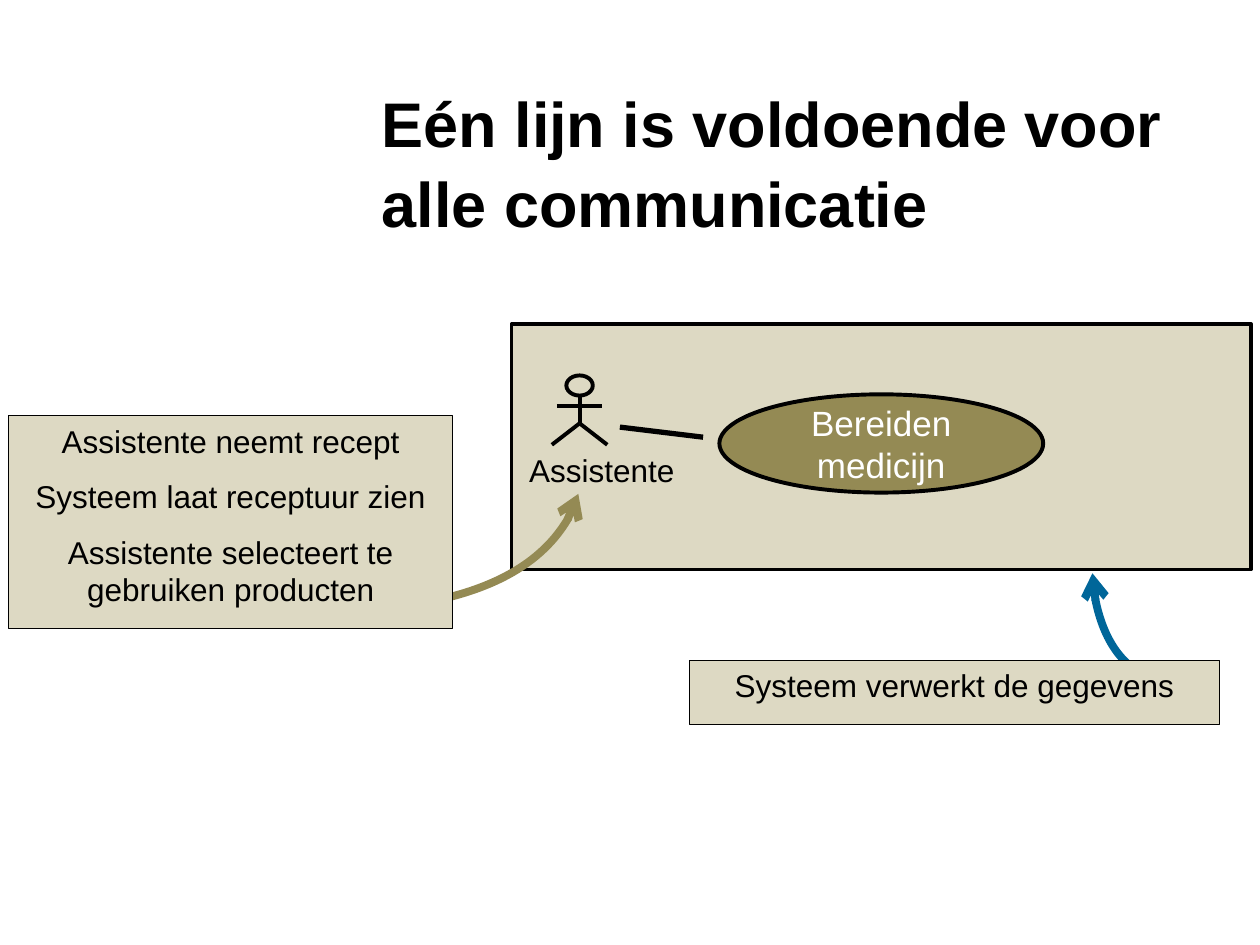
import pptx
import pptx.dml.color
import pptx.enum.shapes
import pptx.enum.text
import pptx.oxml.ns
import pptx.oxml.xmlchemy
import pptx.util

SHAPE = pptx.enum.shapes.MSO_SHAPE
ANCHOR = pptx.enum.text.MSO_ANCHOR
ALIGN = pptx.enum.text.PP_ALIGN
FIT = pptx.enum.text.MSO_AUTO_SIZE
qn = pptx.oxml.ns.qn
element = pptx.oxml.xmlchemy.OxmlElement

BLACK, WHITE = "000000", "FFFFFF"
SAND, OLIVE, BLUE = "DDD9C3", "948A54", "006699"
COLUMNS, ROWS = 100, 75


def color(value):
    return pptx.dml.color.RGBColor.from_string(value)


def assign(target, values):
    for name, value in values.items():
        setattr(target, name, value)


class Sketch:
    """Holds the style and the current slide; lengths are grid columns and rows."""

    font = "Arial"

    def __init__(self, deck):
        self.column = deck.slide_width / COLUMNS
        self.row = deck.slide_height / ROWS
        self.page = deck.slides.add_slide(deck.slide_layouts[5])

    def grid(self, *lengths):
        units = (self.column, self.row)
        return [round(length * units[i % 2]) for i, length in enumerate(lengths)]

    def outline(self, item, ink, width):
        item.line.color.rgb = color(ink)
        item.line.width = pptx.util.Pt(width)

    def fill_text(self, item, paragraphs, size, ink=BLACK, bold=False, align=ALIGN.CENTER,
                  margins=(0.1, 0.05, 0.1, 0.05), anchor=ANCHOR.TOP, fit=FIT.NONE,
                  wrap=True, gap=0, spacing=1.0):
        frame = item.text_frame
        sides = ("margin_left", "margin_top", "margin_right", "margin_bottom")
        assign(frame, dict(zip(sides, map(pptx.util.Inches, margins))))
        assign(frame, {"vertical_anchor": anchor, "auto_size": fit, "word_wrap": wrap})
        for index, words in enumerate(paragraphs):
            para = frame.add_paragraph() if index else frame.paragraphs[0]
            assign(para, {"alignment": align, "line_spacing": spacing,
                          "space_before": pptx.util.Pt(gap if index else 0)})
            span = para.add_run()
            span.text = words
            assign(span.font, {"name": self.font, "size": pptx.util.Pt(size), "bold": bold})
            span.font.color.rgb = color(ink)

    def title(self, words, *place):
        holder = self.page.shapes.title
        assign(holder, dict(zip(("left", "top", "width", "height"), self.grid(*place))))
        self.fill_text(holder, [words], 36, bold=True, align=ALIGN.LEFT,
                       margins=(0, 0, 0, 0), anchor=ANCHOR.BOTTOM, spacing=1.06)

    def shape(self, kind, place, fill=None, width=2.25, parent=None):
        item = (parent or self.page).shapes.add_shape(kind, *self.grid(*place))
        item.shadow.inherit = False
        if fill:
            item.fill.solid()
            item.fill.fore_color.rgb = color(fill)
        else:
            item.fill.background()
        self.outline(item, BLACK, width)
        return item

    def line(self, ends, width=2.25, parent=None):
        item = (parent or self.page).shapes.add_connector(
            pptx.enum.shapes.MSO_CONNECTOR.STRAIGHT, *self.grid(*ends))
        self.outline(item, BLACK, width)
        item._element.spPr.append(element("a:effectLst"))

    def label(self, words, *place):
        box = self.page.shapes.add_textbox(*self.grid(*place))
        self.fill_text(box, [words], 18, align=ALIGN.LEFT, margins=(0.09, 0.04, 0.09, 0.04),
                       fit=FIT.SHAPE_TO_FIT_TEXT, wrap=False)

    def note(self, paragraphs, *place):
        box = self.shape(SHAPE.RECTANGLE, place, SAND, 0.75)
        self.fill_text(box, paragraphs, 18, margins=(0.1, 0.05, 0.1, 0.15),
                       fit=FIT.SHAPE_TO_FIT_TEXT, gap=10)

    def actor(self, center, top):
        figure = self.page.shapes.add_group_shape()
        neck, hip, foot = top + 1.6, top + 3.8, top + 5.5
        self.shape(SHAPE.OVAL, (center - 1.05, top, 2.1, 1.6), parent=figure)
        self.line((center, neck, center, hip), parent=figure)
        self.line((center - 1.8, top + 2.4, center + 1.8, top + 2.4), parent=figure)
        for side in (-2.2, 2.2):
            self.line((center + side, foot, center, hip), parent=figure)

    def curved_arrow(self, points, ink):
        start, *others = [self.grid(*point) for point in points]
        builder = self.page.shapes.build_freeform(*start)
        builder.add_line_segments(others, close=False)
        item = builder.convert_to_shape()
        item.shadow.inherit = False
        item.fill.background()
        self.outline(item, ink, 4.5)
        # Turn the three straight segments into one cubic curve
        outline = next(item._element.iter(qn("a:path")))
        curve = element("a:cubicBezTo")
        for segment in outline.findall(qn("a:lnTo")):
            curve.append(segment[0])
            outline.remove(segment)
        outline.append(curve)
        # Open arrowhead at the end
        tip = element("a:tailEnd")
        tip.set("type", "arrow")
        item._element.spPr.find(qn("a:ln")).append(tip)


def main():
    deck = pptx.Presentation()
    deck.slide_width, deck.slide_height = pptx.util.Inches(10), pptx.util.Inches(7.5)
    sketch = Sketch(deck)
    sketch.title("Eén lijn is voldoende voor alle communicatie", 30.3, 12, 66.7, 7.1)

    # System with its actor and use case
    sketch.shape(SHAPE.RECTANGLE, (40.6, 25.7, 58.7, 19.5), SAND, 2)
    sketch.actor(46, 29.8)
    sketch.label("Assistente", 41.1, 35.4, 14.5, 3.9)
    use_case = sketch.shape(SHAPE.OVAL, (57.1, 31.3, 25.7, 7.8), OLIVE)
    sketch.fill_text(use_case, ["Bereiden medicijn"], 20, WHITE,
                     margins=(0.12, 0.06, 0.12, 0.06), anchor=ANCHOR.MIDDLE)

    # Arrows from the notes, whose starts the notes cover
    sketch.curved_arrow([(92.8, 54.2), (89.4, 53.7), (86.8, 50), (86.7, 45.5)], BLUE)
    sketch.curved_arrow([(31.2, 48.2), (38.9, 47.3), (44.8, 43.7), (45.9, 39.2)], OLIVE)

    # Notes
    sketch.note(["Assistente neemt recept", "Systeem laat receptuur zien",
                 "Assistente selecteert te gebruiken producten"], 0.7, 33, 35.2, 16.9)
    sketch.note(["Systeem verwerkt de gegevens"], 54.7, 52.4, 42.1, 5.1)

    # The single communication line
    sketch.line((49.2, 33.9, 55.8, 34.7), 3)
    deck.save("out.pptx")


if __name__ == "__main__":
    main()
